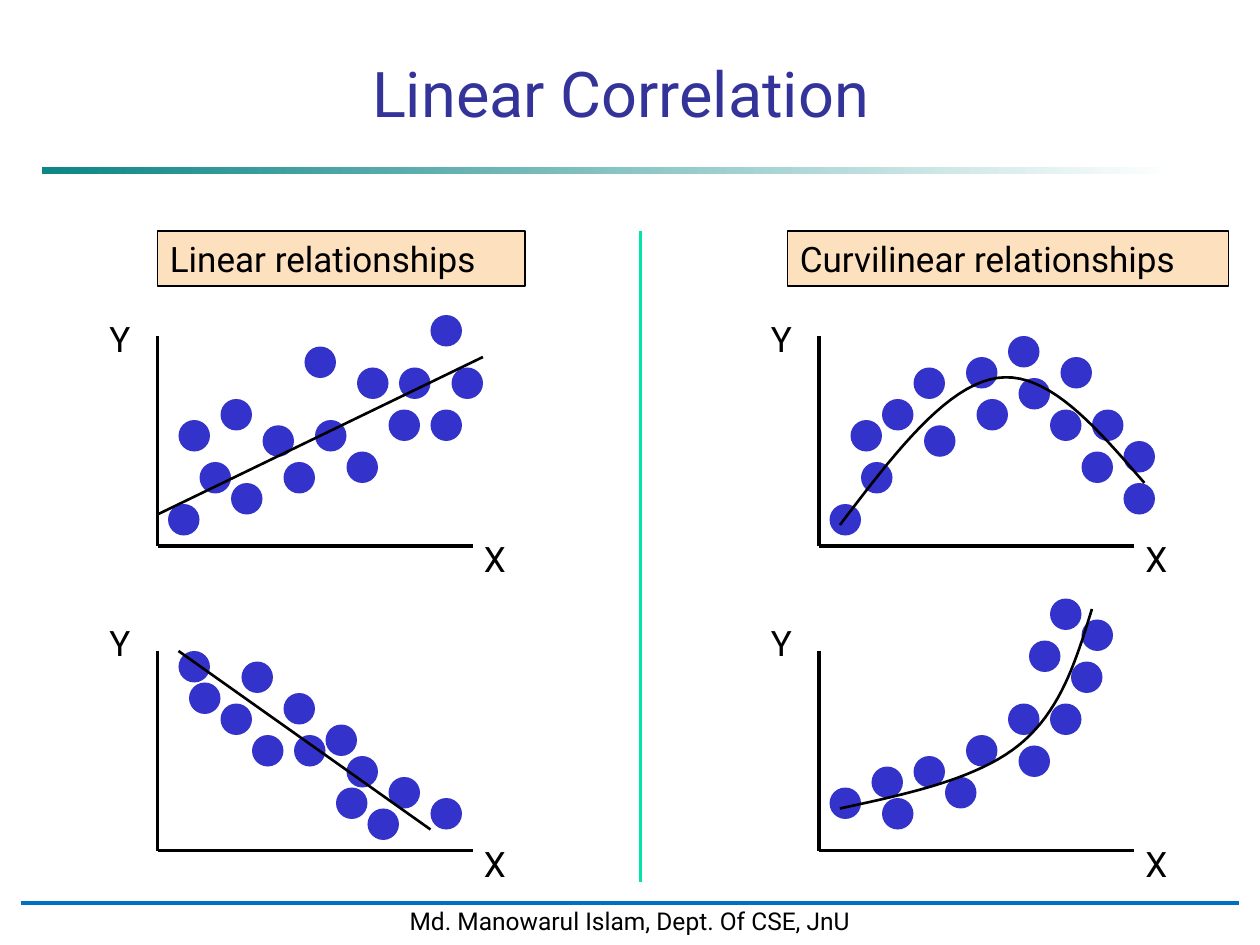
from lxml.etree import SubElement
from pptx import Presentation
from pptx.dml.color import RGBColor
from pptx.enum.shapes import MSO_CONNECTOR, MSO_SHAPE
from pptx.enum.text import MSO_ANCHOR, MSO_AUTO_SIZE, PP_ALIGN
from pptx.oxml.ns import qn
from pptx.util import Cm, Pt

HUE = {"ink": "000000", "title": "333399", "dot": "3333CC", "label": "FDE0BD",
       "split": "00E4A8", "rule": "0070C0", "teal": "0D8686", "white": "FFFFFF"}

LABEL = {"word_wrap": True, "auto_size": MSO_AUTO_SIZE.SHAPE_TO_FIT_TEXT}
AXIS = {"word_wrap": False, "auto_size": MSO_AUTO_SIZE.SHAPE_TO_FIT_TEXT}
TITLE = {"word_wrap": True, "vertical_anchor": MSO_ANCHOR.BOTTOM}
FOOT = {"word_wrap": False, "vertical_anchor": MSO_ANCHOR.MIDDLE}

# Plots: origin, axis height, dots and trend, in grid units from the origin.
# A dot is given by its left and top; heights count upwards.
# A trend is a line of two points or a chain of cubic curves.
PLOTS = [
    {"at": (15, 52), "high": 20,
     "dots": [(1, 4), (4, 8), (26, 22), (28, 17), (7, 6), (23, 17), (18, 9),
              (19, 17), (14, 19), (2, 12), (6, 14), (10, 11.5), (22, 13),
              (15, 12), (12, 8), (26, 13)],
     "trend": [(0, 3), (31, 18)]},
    {"at": (15, 81), "high": 19,
     "dots": [(20, 4), (3, 16), (26, 5), (8, 18), (18, 9), (22, 7), (12, 15),
              (2, 19), (6, 14), (9, 11), (17, 6), (16, 12), (13, 11)],
     "trend": [(2, 19), (26, 2)]},
    {"at": (78, 52), "high": 20,
     "dots": [(1, 4), (4, 8), (29, 10), (23, 18), (9, 17), (29, 6), (25, 9),
              (19, 16), (14, 18), (3, 12), (6, 14), (10, 11.5), (22, 13),
              (15, 14), (18, 20), (26, 13)],
     "trend": [(2, 2), (7.1, 8.7), (12.1, 15.3), (17, 16),
               (21.8, 16.7), (26.4, 11.3), (31, 6)]},
    {"at": (78, 81), "high": 19,
     "dots": [(1, 6), (5, 8), (25, 22), (24, 18), (6, 5), (20, 20), (19, 10),
              (18, 14), (22, 24), (9, 9), (22, 14), (14, 11), (12, 7)],
     "trend": [(2, 4), (8.5, 5.4), (15, 6.8), (19, 10),
               (23, 13.2), (24.5, 18.1), (26, 23)]},
]


def unit(num):
    """One grid unit is a twelfth of an inch."""
    return Cm(num * 2.54 / 12)


def color(name):
    return RGBColor.from_string(HUE[name])


def pen(line, name, width):
    line.color.rgb = color(name)
    line.width = Pt(width)


def shape(slide, kind, box, fill, edge=None, width=1):
    item = slide.shapes.add_shape(kind, *map(unit, box))
    item.shadow.inherit = False
    item.fill.solid()
    item.fill.fore_color.rgb = color(fill)
    if edge:
        pen(item.line, edge, width)
    else:
        item.line.fill.background()
    return item


def write(item, text, form, size=20, hue="ink", align=PP_ALIGN.LEFT):
    frame = item.text_frame
    for key, value in form.items():
        setattr(frame, key, value)
    para = frame.paragraphs[0]
    para.text = text
    para.alignment = align
    font = {"size": Pt(size), "name": "Roboto"}
    for key, value in font.items():
        setattr(para.font, key, value)
    para.font.color.rgb = color(hue)


def note(slide, box, *args):
    write(slide.shapes.add_textbox(*map(unit, box)), *args)


def stroke(slide, start, end, hue, width):
    item = slide.shapes.add_connector(MSO_CONNECTOR.STRAIGHT,
                                      *map(unit, (*start, *end)))
    pen(item.line, hue, width)
    SubElement(item._element.spPr, qn("a:effectLst"))


def bend(knots, steps=20):
    """Points along a chain of cubic curves."""
    points = [knots[0]]
    for i in range(0, len(knots) - 1, 3):
        for step in range(1, steps + 1):
            t = step / steps
            parts = ((1 - t) ** 3, 3 * t * (1 - t) ** 2,
                     3 * t * t * (1 - t), t ** 3)
            points.append(tuple(sum(w * knot[axis] for w, knot
                                    in zip(parts, knots[i:i + 4]))
                                for axis in (0, 1)))
    return points


def curve(slide, points):
    spots = [(unit(x), unit(y)) for x, y in points]
    form = slide.shapes.build_freeform(*spots[0])
    form.add_line_segments(spots[1:], close=False)
    item = form.convert_to_shape()
    item.shadow.inherit = False
    item.fill.background()
    pen(item.line, "ink", 1.5)


def plot(slide, data):
    left, base = data["at"]

    def spot(x, y):
        return left + x, base - y

    # Axes and their names
    stroke(slide, spot(0, data["high"]), spot(0, 0), "ink", 2)
    stroke(slide, spot(0, 0), spot(30, 0), "ink", 2)
    for text, x, y in (("Y", -5.76, 22.4), ("X", 29.9, 1.4)):
        note(slide, (*spot(x, y), 4.3, 5.25), text, AXIS)

    # Dots and trend
    for dot in data["dots"]:
        shape(slide, MSO_SHAPE.OVAL, (*spot(*dot), 3, 3), "dot")
    trend = data["trend"]
    if len(trend) == 2:
        stroke(slide, spot(*trend[0]), spot(*trend[1]), "ink", 1.5)
    else:
        curve(slide, [spot(*point) for point in bend(trend)])


def main():
    deck = Presentation()
    deck.slide_width, deck.slide_height = unit(120), unit(90)
    slide = deck.slides.add_slide(deck.slide_layouts[6])

    # Title and fading bar
    bar = shape(slide, MSO_SHAPE.RECTANGLE, (4, 15.95, 108, 0.65), "teal")
    bar.fill.gradient()
    bar.fill.gradient_angle = 0
    for stop, name, place in zip(bar.fill.gradient_stops,
                                 ("teal", "white"), (0, 1)):
        stop.color.rgb = color(name)
        stop.position = place
    note(slide, (8, 5, 102.25, 8), "Linear Correlation", TITLE, 36, "title",
         PP_ALIGN.CENTER)

    # Footer
    foot = shape(slide, MSO_SHAPE.RECTANGLE, (2, 85.7, 116, 4), "white",
                 "white", 2)
    write(foot, "Md. Manowarul Islam, Dept. Of CSE, JnU", FOOT, 14, "ink",
          PP_ALIGN.CENTER)
    stroke(slide, (2, 86), (118, 86), "rule", 1.75)

    # Plots
    for data in PLOTS:
        plot(slide, data)

    # Column labels and divider
    for text, x, wide in (("Linear relationships", 15, 35),
                          ("Curvilinear relationships", 75, 42)):
        label = shape(slide, MSO_SHAPE.RECTANGLE, (x, 22, wide, 5.25),
                      "label", "ink")
        write(label, text, LABEL)
    stroke(slide, (61, 22), (61, 84), "split", 2.25)

    deck.save("out.pptx")


if __name__ == "__main__":
    main()
